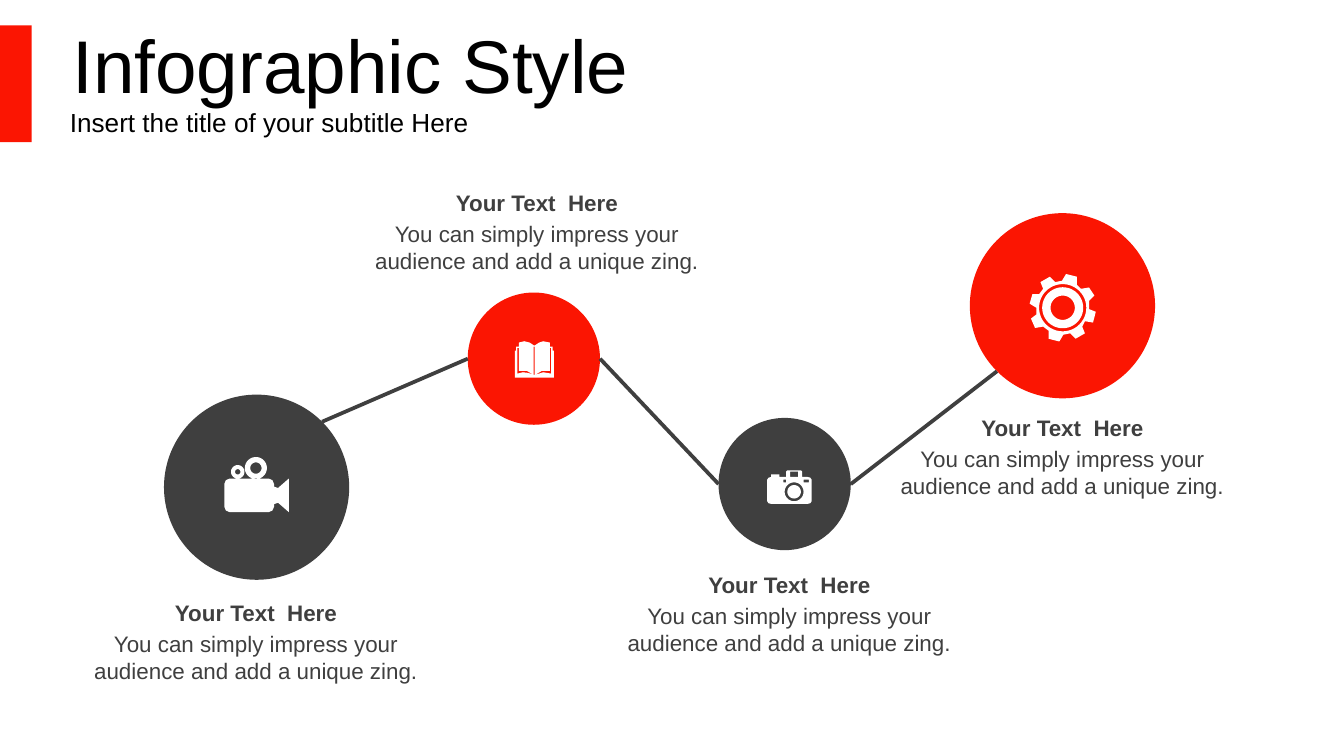
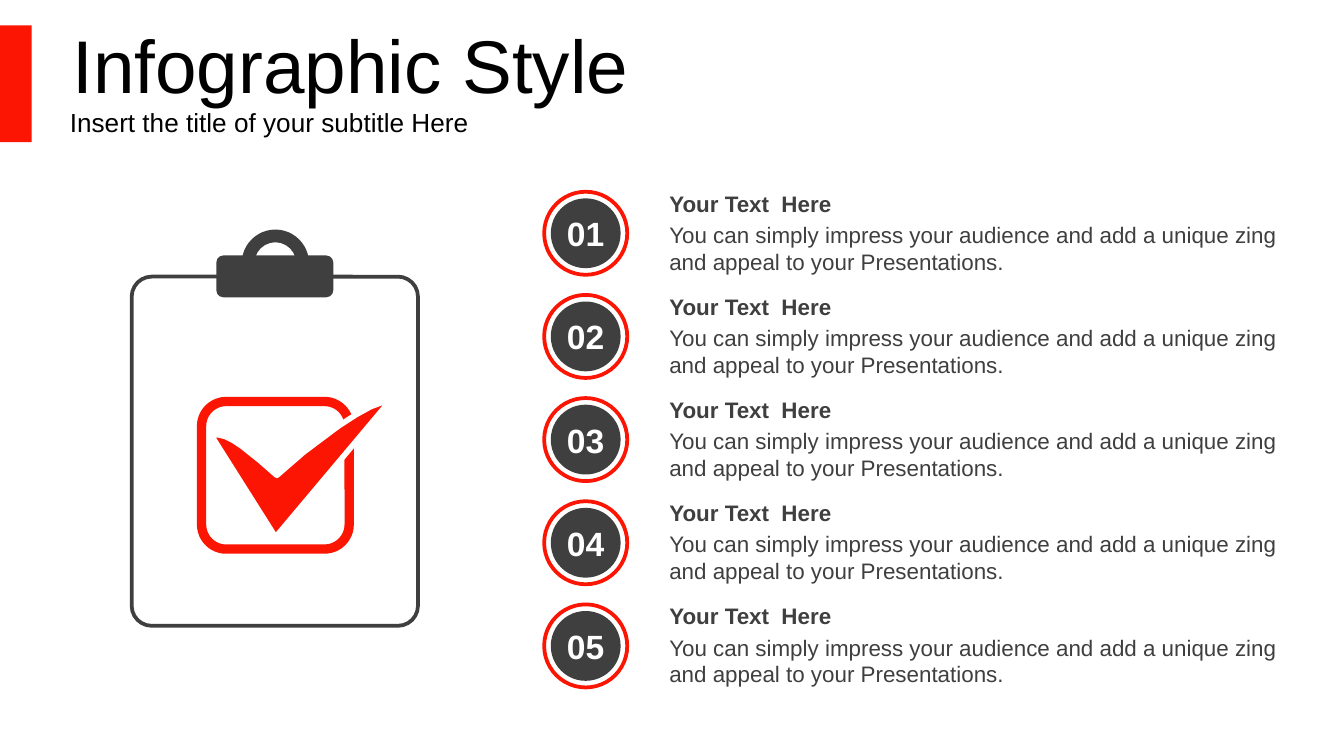
"""Build two infographic slides: a path of four icons and a numbered checklist."""
import math

from lxml import etree
from pptx import Presentation
from pptx import util as u
from pptx.dml.color import RGBColor
from pptx.enum import shapes, text
from pptx.oxml.ns import qn

RED, DARK, WHITE, BLACK = "FB1502", "3F3F3F", "FFFFFF", "000000"
FONT = "Arial"
SHAPE = shapes.MSO_SHAPE
LEFT, CENTER = text.PP_ALIGN.LEFT, text.PP_ALIGN.CENTER

TITLE = "Infographic Style"
SUBTITLE = "Insert the title of your subtitle Here"
HEADING = "Your Text  Here"
SHORT_BODY = "You can simply impress your audience and add a unique zing."
LONG_BODY = ("You can simply impress your audience and add a unique zing "
             "and appeal to your Presentations.")
NUMBERS = ["01", "02", "03", "04", "05"]


def ring(x, y, radius, steps=48):
    """Return the points of a circle."""
    angles = [2 * math.pi * step / steps for step in range(steps)]
    return [(x + radius * math.cos(a), y + radius * math.sin(a)) for a in angles]


def box(left, top, right, bottom):
    """Return the corners of a rectangle."""
    return [(left, top), (right, top), (right, bottom), (left, bottom)]


MOVIE_CAMERA = [
    [(4, 16), (33, 16), (35.8, 17.2), (37, 20), (37, 22), (40, 23), (48, 16),
     (48, 41), (40, 34), (37, 35), (37, 37), (35.8, 39.8), (33, 41), (4, 41),
     (1.2, 39.8), (0, 37), (0, 20), (1.2, 17.2)],
    ring(10, 11, 5), ring(10, 11, 2), ring(23.5, 8.2, 8.2), ring(23.5, 8.2, 4.2),
]
BOOK = [
    [(0, 7), (1, 7), (1, 4), (3, 4), (3, 1), (7, 0), (11, 1), (14, 3), (15, 3),
     (18, 1), (21, 0), (26, 1), (26, 4), (28, 4), (28, 7), (29, 7), (29, 27), (0, 27)],
    [(3, 5), (2, 5), (2, 24), (6, 23), (10, 23.5), (14, 25), (9, 22), (3, 22)],
    [(27, 5), (26, 5), (26, 22), (20, 22), (15, 25), (21, 23), (27, 24)],
    box(14, 4, 14.8, 25),
]
PHOTO_CAMERA = [
    [(15, 0), (25, 0), (26, 1), (26, 5), (30, 5), (32, 5.5), (33, 7), (33, 23),
     (32, 24.5), (30, 25), (3, 25), (1, 24.5), (0, 23), (0, 7), (1, 5.5), (3, 5),
     (3, 3), (9, 3), (9, 5), (14, 5), (14, 1)],
    ring(20, 16, 7), ring(20, 16, 5),
    box(12, 7, 14, 9), box(27, 7, 31, 9), box(17, 1, 23, 5),
]
GEAR = [
    [(27, 0), (35, 2), (35, 8), (38, 11), (44, 10), (48, 16), (44, 20), (44, 26),
     (49, 28), (47, 36), (41, 35), (39, 39), (41, 44), (34, 48), (30, 44), (25, 45),
     (22, 50), (14, 48), (14, 42), (10, 39), (4, 40), (1, 33), (5, 30), (5, 25),
     (0, 22), (2, 15), (7, 15), (10, 11), (8, 6), (15, 2), (19, 6), (24, 5)],
    ring(24.5, 25, 17.5), ring(24.5, 25, 15.2), ring(24.5, 25, 9),
]
CHECK = [
    [(0, 25), (5, 24.7), (10.5, 26), (16.5, 29), (23, 33.3), (36.3, 43.9), (49, 55),
     (69, 37.6), (95, 18.2), (108, 9.8), (118.8, 3.8), (128, 0.4), (132, 1), (48, 101)],
]

NODES = [
    {"centre": (4.85, 9.21), "size": 3.5, "color": DARK, "caption": (1.27, 11.2),
     "icon": MOVIE_CAMERA, "icon_at": (4.24, 8.64), "icon_width": 1.22},
    {"centre": (10.09, 6.78), "size": 2.5, "color": RED, "caption": (6.58, 3.45),
     "icon": BOOK, "icon_at": (9.73, 6.45), "icon_width": 0.74},
    {"centre": (14.83, 9.15), "size": 2.5, "color": DARK, "caption": (11.35, 10.67),
     "icon": PHOTO_CAMERA, "icon_at": (14.5, 8.89), "icon_width": 0.84},
    {"centre": (20.08, 5.78), "size": 3.5, "color": RED, "caption": (16.51, 7.7),
     "icon": GEAR, "icon_at": (19.46, 5.18), "icon_width": 1.25},
]
LINK_ANGLES = [(-45, 180), (0, 180), (0, 135)]


def rgb(color):
    """Turn a hex string into a colour."""
    return RGBColor.from_string(color)


def paint(shape, fill, line=None, width=0):
    """Set the fill and outline of a shape."""
    shape.shadow.inherit = False
    shape.fill.solid()
    shape.fill.fore_color.rgb = rgb(fill)
    if line:
        shape.line.color.rgb = rgb(line)
        shape.line.width = u.Pt(width)
    else:
        shape.line.fill.background()


def add_shape(slide, kind, bounds, fill, line=None, width=0, adjustments=()):
    """Add a painted preset shape."""
    shape = slide.shapes.add_shape(kind, *map(u.Cm, bounds))
    for index, value in enumerate(adjustments):
        shape.adjustments[index] = value
    paint(shape, fill, line, width)
    return shape


def add_disc(slide, centre, size, fill, line=None, width=0):
    """Add a circle around a centre."""
    x, y = centre
    bounds = (x - size / 2, y - size / 2, size, size)
    return add_shape(slide, SHAPE.OVAL, bounds, fill, line, width)


def add_outline(slide, contours, left, top, width, fill, line=None, line_width=0):
    """Add a freeform whose contours are scaled to a width."""
    scale = u.Cm(width) / max(x for x, y in contours[0])
    builder = None
    for contour in contours:
        points = [(x * scale, y * scale) for x, y in contour]
        if builder is None:
            builder = slide.shapes.build_freeform(*points[0], scale=1.0)
        else:
            builder.move_to(*points[0])
        builder.add_line_segments(points[1:], close=True)
    paint(builder.convert_to_shape(u.Cm(left), u.Cm(top)), fill, line, line_width)


def write(shape, content, size, color, bold=False, align=LEFT,
          anchor=text.MSO_ANCHOR.TOP, inset=0.13):
    """Write one formatted paragraph into a shape."""
    frame = shape.text_frame
    frame.text = content
    frame.word_wrap = True
    frame.auto_size = text.MSO_AUTO_SIZE.NONE
    frame.vertical_anchor = anchor
    frame.margin_left = frame.margin_right = u.Cm(0.25)
    frame.margin_top = frame.margin_bottom = u.Cm(inset)
    paragraph = frame.paragraphs[0]
    paragraph.alignment = align
    font = paragraph.font
    font.name, font.size, font.bold = FONT, u.Pt(size), bold
    font.color.rgb = rgb(color)


def add_text(slide, bounds, content, size, color, **options):
    """Add a text box."""
    write(slide.shapes.add_textbox(*map(u.Cm, bounds)), content, size, color, **options)


def add_caption(slide, left, top, width, body, align=LEFT):
    """Add a bold heading with body text below it."""
    add_text(slide, (left, top + 0.59, width, 1.27), body, 12, DARK, align=align)
    add_text(slide, (left, top, width, 0.76), HEADING, 12, DARK, bold=True, align=align)


def add_slide(presentation):
    """Add a slide with the band, title and subtitle."""
    slide = presentation.slides.add_slide(presentation.slide_layouts[5])
    add_shape(slide, SHAPE.RECTANGLE, (0, 0.48, 0.6, 2.21), RED)
    middle = text.MSO_ANCHOR.MIDDLE
    add_text(slide, (1.07, 1.93, 19.96, 0.74), SUBTITLE, 14, BLACK, anchor=middle, inset=0.25)
    title = slide.shapes.title
    title.left, title.top, title.width, title.height = map(u.Cm, (1.12, 0.48, 19.94, 1.45))
    write(title, TITLE, 40, BLACK, anchor=middle, inset=0.25)
    return slide


def rim_point(node, angle):
    """Return the point of a node's rim at an angle in degrees."""
    x, y = node["centre"]
    radius, turn = node["size"] / 2, math.radians(angle)
    return u.Cm(x + radius * math.cos(turn)), u.Cm(y + radius * math.sin(turn))


def add_path_slide(presentation):
    """Add four linked icon circles with captions."""
    slide = add_slide(presentation)
    for node in NODES:
        add_disc(slide, node["centre"], node["size"], node["color"])
        add_outline(slide, node["icon"], *node["icon_at"], node["icon_width"], WHITE)
        add_caption(slide, *node["caption"], 7.14, SHORT_BODY, CENTER)
    for start, end, (leave, arrive) in zip(NODES, NODES[1:], LINK_ANGLES):
        connector = slide.shapes.add_connector(
            shapes.MSO_CONNECTOR.STRAIGHT, *rim_point(start, leave), *rim_point(end, arrive))
        connector.line.color.rgb = rgb(DARK)
        connector.line.width = u.Pt(2)
        etree.SubElement(connector._element.spPr, qn("a:effectLst"))


def add_checklist_slide(presentation):
    """Add a clipboard beside five numbered items."""
    slide = add_slide(presentation)
    rounded = SHAPE.ROUNDED_RECTANGLE
    add_shape(slide, rounded, (2.49, 5.23, 5.41, 6.6), WHITE, DARK, 2, [0.07])
    add_shape(slide, rounded, (4.09, 4.83, 2.21, 0.79), DARK)
    add_shape(slide, SHAPE.BLOCK_ARC, (4.57, 4.34, 1.27, 1.27), DARK,
              adjustments=[108, 213.89, 0.19])
    add_shape(slide, rounded, (3.81, 7.59, 2.79, 2.79), WHITE, RED, 5)
    add_outline(slide, CHECK, 3.99, 7.59, 3.35, RED, WHITE, 3)
    for row, number in enumerate(NUMBERS):
        drop = row * 1.95
        centre = (11.07, 4.41 + drop)
        add_disc(slide, centre, 1.57, WHITE, RED, 2)
        disc = add_disc(slide, centre, 1.32, DARK)
        write(disc, number, 18, WHITE, bold=True, align=CENTER, anchor=text.MSO_ANCHOR.MIDDLE)
        disc.text_frame.word_wrap = False
        add_caption(slide, 12.4, 3.46 + drop, 12.19, LONG_BODY)


def main():
    """Build and save the presentation."""
    presentation = Presentation()
    presentation.slide_width, presentation.slide_height = u.Cm(25.4), u.Cm(14.29)
    add_path_slide(presentation)
    add_checklist_slide(presentation)
    presentation.save("out.pptx")


if __name__ == "__main__":
    main()
